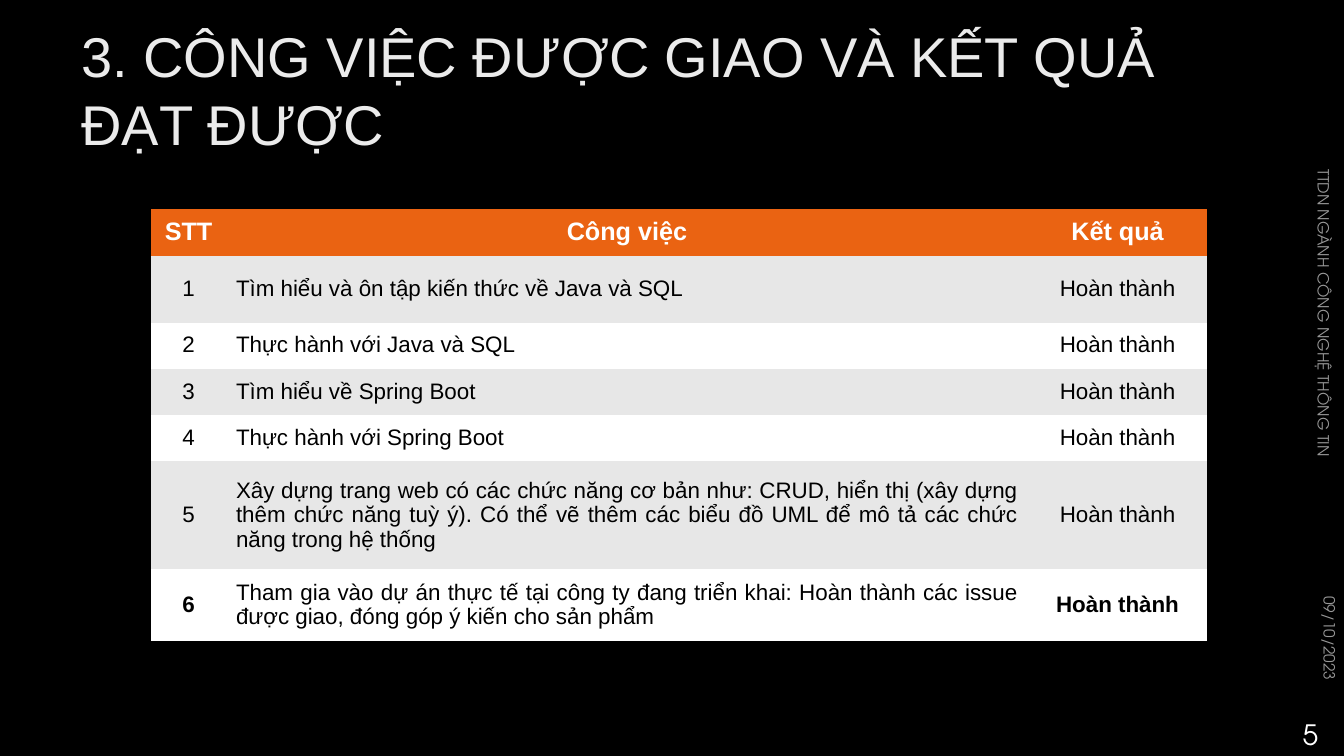
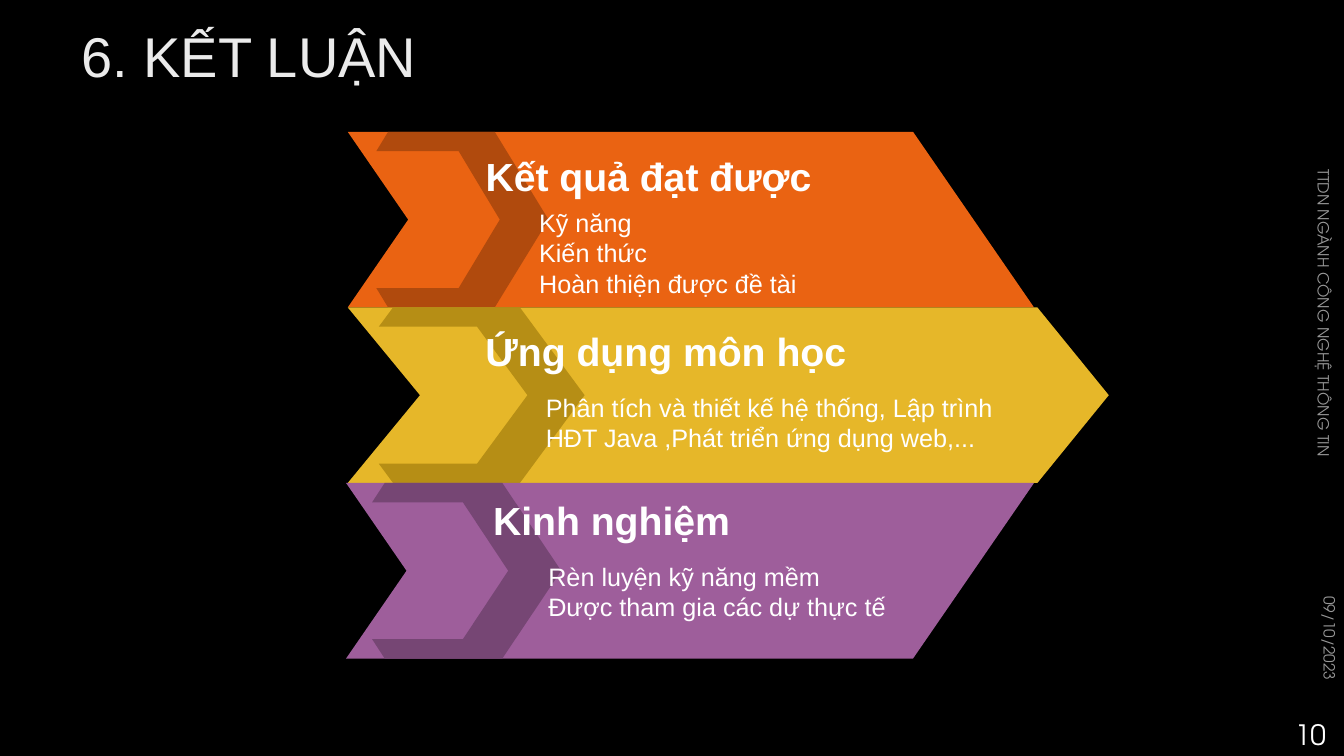
from dataclasses import dataclass
from typing import NamedTuple

from lxml.etree import SubElement
from pptx import Presentation
from pptx.dml.color import RGBColor
from pptx.enum.text import MSO_ANCHOR, MSO_AUTO_SIZE, PP_ALIGN
from pptx.oxml.ns import qn
from pptx.util import Inches, Pt

COLUMNS, ROWS = 16, 9
UNIT = Inches(7.5) / ROWS
BAND_TOP, BAND_HEIGHT, SHADE_EDGE = 1.57, 2.09, 0.23
NO_TABLE_STYLE = "{2D5ABB26-0587-4C30-8999-92F81FD0307C}"


@dataclass(frozen=True)
class Theme:
    font: str = "Arial"
    footer_font: str = "TeX Gyre Adventor"
    back: str = "000000"
    title: str = "EBEBEB"
    light: str = "FFFFFF"
    dark: str = "000000"
    stripe: str = "E7E7E7"
    orange: str = "EA6312"
    orange_shade: str = "B04A0D"
    yellow: str = "E6B729"
    yellow_shade: str = "B68E15"
    purple: str = "9E5E9B"
    purple_shade: str = "764674"
    title_size: int = 40
    heading_size: int = 28
    page_size: int = 20
    body_size: int = 18
    cell_size: int = 16
    footer_size: int = 11
    footer_alpha: int = 60


T = Theme()


class Band(NamedTuple):
    fill: str
    shade: str
    left: float
    notch: float
    right: tuple
    shade_outer: tuple
    shade_inner: tuple
    heading: str
    heading_at: tuple
    body: str
    body_at: tuple


BANDS = [
    Band(T.orange, T.orange_shade, 4.14, 4.86, (10.87, 11.59, 12.31),
         (4.62, 5.89, 6.53), (4.48, 5.46, 5.95),
         "Kết quả đạt được", (5.78, 0.18, 5.34, 0.68),
         "Kỹ năng\nKiến thức\nHoàn thiện được đề tài", (6.3, 0.84, 3.97, 1.21)),
    Band(T.yellow, T.yellow_shade, 4.14, 5, (12.35, 13.2, 12.35),
         (4.68, 6.19, 6.96), (4.51, 5.68, 6.28),
         "Ứng dụng môn học", (5.78, 0.18, 5.88, 0.68),
         "Phân tích và thiết kế hệ thống, Lập trình HĐT Java ,"
         "Phát triển ứng dụng web,...", (6.38, 0.95, 5.7, 1.21)),
    Band(T.purple, T.purple_shade, 4.12, 4.84, (12.31, 11.59, 10.87),
         (4.58, 5.98, 6.68), (4.43, 5.51, 6.05),
         "Kinh nghiệm", (5.87, 0.1, 4.26, 0.68),
         "Rèn luyện kỹ năng mềm\nĐược tham gia các dự thực tế",
         (6.41, 0.87, 4.46, 0.85)),
]

DONE = "Hoàn thành"
TASKS = [
    "Tìm hiểu và ôn tập kiến thức về Java và SQL",
    "Thực hành với Java và SQL",
    "Tìm hiểu về Spring Boot",
    "Thực hành với Spring Boot",
    "Xây dựng trang web có các chức năng cơ bản như: CRUD, hiển thị "
    "(xây dựng thêm chức năng tuỳ ý). Có thể vẽ thêm các biểu đồ UML "
    "để mô tả các chức năng trong hệ thống",
    "Tham gia vào dự án thực tế tại công ty đang triển khai: Hoàn thành "
    "các issue được giao, đóng góp ý kiến cho sản phẩm",
]
JUSTIFIED_ROWS = (5, 6)
TASK_COLUMNS = (0.89, 9.55, 2.13)
TASK_ROWS = (0.56, 0.79, 0.55, 0.55, 0.55, 1.29, 0.85)


def grid(*lengths):
    return [round(n * UNIT) for n in lengths]


def write(tf, text, size, color, font=T.font, bold=False, align=PP_ALIGN.LEFT,
          spacing=None):
    tf.text = text
    for p in tf.paragraphs:
        p.alignment = align
        p.line_spacing = spacing
        for r in p.runs:
            r.font.name = font
            r.font.size = Pt(size)
            r.font.bold = bold
            r.font.color.rgb = RGBColor.from_string(color)


def add_text(shapes, at, text, size, color, anchor=MSO_ANCHOR.TOP, **style):
    sp = shapes.add_textbox(*grid(*at))
    tf = sp.text_frame
    tf.word_wrap = True
    tf.vertical_anchor = anchor
    write(tf, text, size, color, **style)
    return sp


def add_side_note(s, at, text, anchor):
    sp = add_text(s.shapes, at, text, T.footer_size, T.light, anchor,
                  font=T.footer_font)
    sp.rotation = 90
    for color in sp.text_frame._txBody.iter(qn("a:srgbClr")):
        SubElement(color, qn("a:alpha"), val=str(T.footer_alpha * 1000))


def add_slide(prs, title, page):
    s = prs.slides.add_slide(prs.slide_layouts[5])
    sp = s.shapes.title
    sp.left, sp.top, sp.width, sp.height = grid(0.85, 0.2, 13.49, 1.84)
    tf = sp.text_frame
    tf.auto_size = MSO_AUTO_SIZE.NONE
    tf.vertical_anchor = MSO_ANCHOR.TOP
    write(tf, title, T.title_size, T.title)
    add_side_note(s, (15.15, 7.43, 1.3, 0.4), "09/10/2023", MSO_ANCHOR.TOP)
    add_side_note(s, (13.26, 4.23, 5.06, 0.4),
                  "TTDN NGÀNH CÔNG NGHỆ THÔNG TIN", MSO_ANCHOR.BOTTOM)
    add_text(s.shapes, (15.24, 8.29, 0.72, 0.71), page, T.page_size, T.light,
             MSO_ANCHOR.BOTTOM, font=T.footer_font, align=PP_ALIGN.CENTER)
    return s


def fill_cell(cell, text, row, col):
    header = row == 0
    cell.fill.solid()
    fill = T.orange if header else T.stripe if row % 2 else T.light
    cell.fill.fore_color.rgb = RGBColor.from_string(fill)
    cell.vertical_anchor = MSO_ANCHOR.MIDDLE
    align = PP_ALIGN.CENTER
    if col == 1 and not header:
        align = PP_ALIGN.JUSTIFY if row in JUSTIFIED_ROWS else PP_ALIGN.LEFT
    write(cell.text_frame, text, T.body_size if header else T.cell_size,
          T.light if header else T.dark, align=align, spacing=0.98,
          bold=header or (row == len(TASKS) and col != 1))


def add_task_table(s):
    rows = [("STT", "Công việc", "Kết quả")]
    rows += [(str(i), task, DONE) for i, task in enumerate(TASKS, 1)]
    at = grid(1.8, 2.49, sum(TASK_COLUMNS), sum(TASK_ROWS))
    table = s.shapes.add_table(len(rows), len(TASK_COLUMNS), *at).table
    table._tbl.tblPr.find(qn("a:tableStyleId")).text = NO_TABLE_STYLE
    for column, width in zip(table.columns, grid(*TASK_COLUMNS)):
        column.width = width
    for row, height in zip(table.rows, grid(*TASK_ROWS)):
        row.height = height
    for i, texts in enumerate(rows):
        for j, text in enumerate(texts):
            fill_cell(table.cell(i, j), text, i, j)


def add_outline(shapes, points, color):
    first, *rest = [grid(*point) for point in points]
    builder = shapes.build_freeform(*first)
    builder.add_line_segments(rest, close=True)
    sp = builder.convert_to_shape()
    sp.shadow.inherit = False
    sp.fill.solid()
    sp.fill.fore_color.rgb = RGBColor.from_string(color)
    sp.line.fill.background()


def add_band(s, band, top):
    shapes = s.shapes.add_group_shape().shapes
    middle, bottom = top + BAND_HEIGHT / 2, top + BAND_HEIGHT
    levels = (top, middle, bottom)
    add_outline(shapes, [(band.left, top), *zip(band.right, levels),
                         (band.left, bottom), (band.notch, middle)], band.fill)
    start, shaft, tip = band.shade_outer
    tail, inner_shaft, inner_tip = band.shade_inner
    low, high = top + SHADE_EDGE, bottom - SHADE_EDGE
    add_outline(shapes, [(start, top), (shaft, top), (tip, middle),
                         (shaft, bottom), (start, bottom), (tail, high),
                         (inner_shaft, high), (inner_tip, middle),
                         (inner_shaft, low), (tail, low)], band.shade)
    x, y, w, h = band.heading_at
    sp = add_text(shapes, (x, top + y, w, h), band.heading, T.heading_size,
                  T.light, MSO_ANCHOR.BOTTOM, bold=True)
    sp.text_frame.margin_left = sp.text_frame.margin_right = 0
    x, y, w, h = band.body_at
    add_text(shapes, (x, top + y, w, h), band.body, T.body_size, T.light)


def main():
    prs = Presentation()
    prs.slide_width, prs.slide_height = grid(COLUMNS, ROWS)
    back = prs.slide_master.background.fill
    back.solid()
    back.fore_color.rgb = RGBColor.from_string(T.back)

    s = add_slide(prs, "3. CÔNG VIỆC ĐƯỢC GIAO VÀ KẾT QUẢ ĐẠT ĐƯỢC", "5")
    add_task_table(s)

    s = add_slide(prs, "6. KẾT LUẬN", "10")
    for i, band in enumerate(BANDS):
        add_band(s, band, BAND_TOP + i * BAND_HEIGHT)

    prs.save("out.pptx")


if __name__ == "__main__":
    main()
